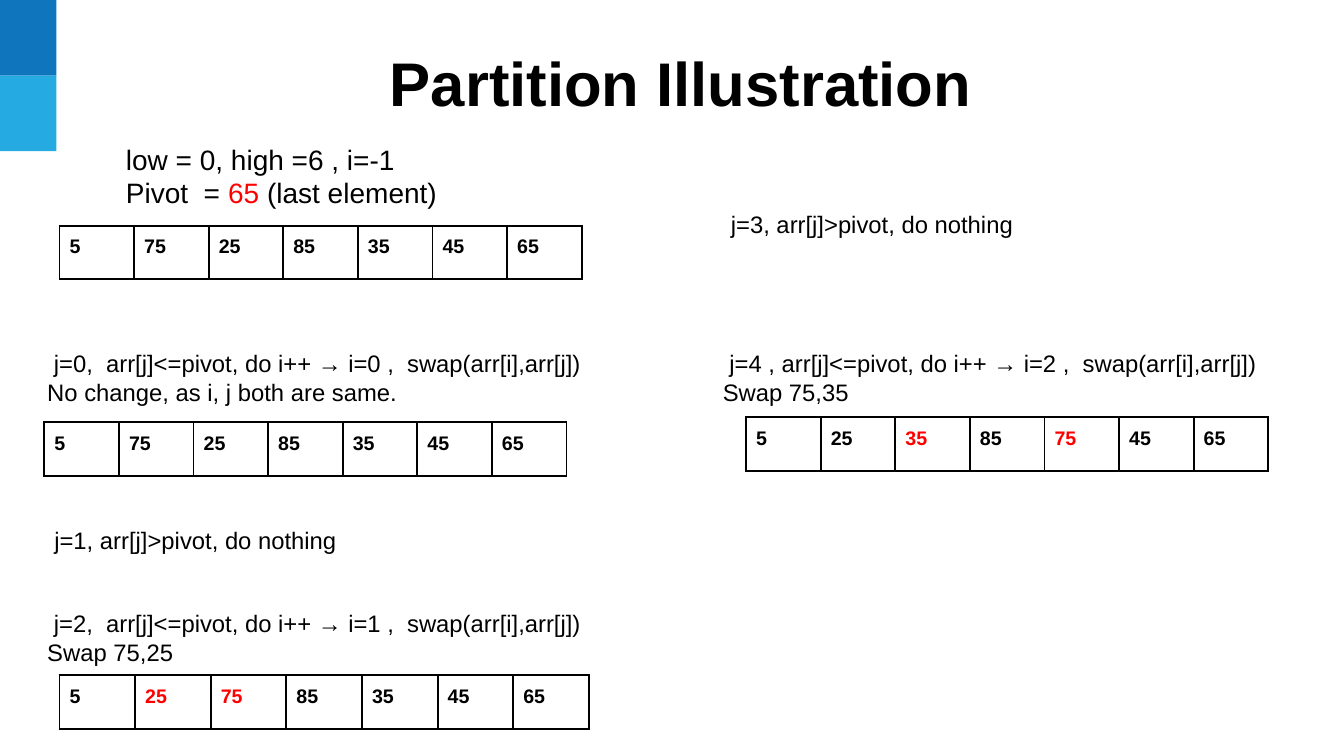
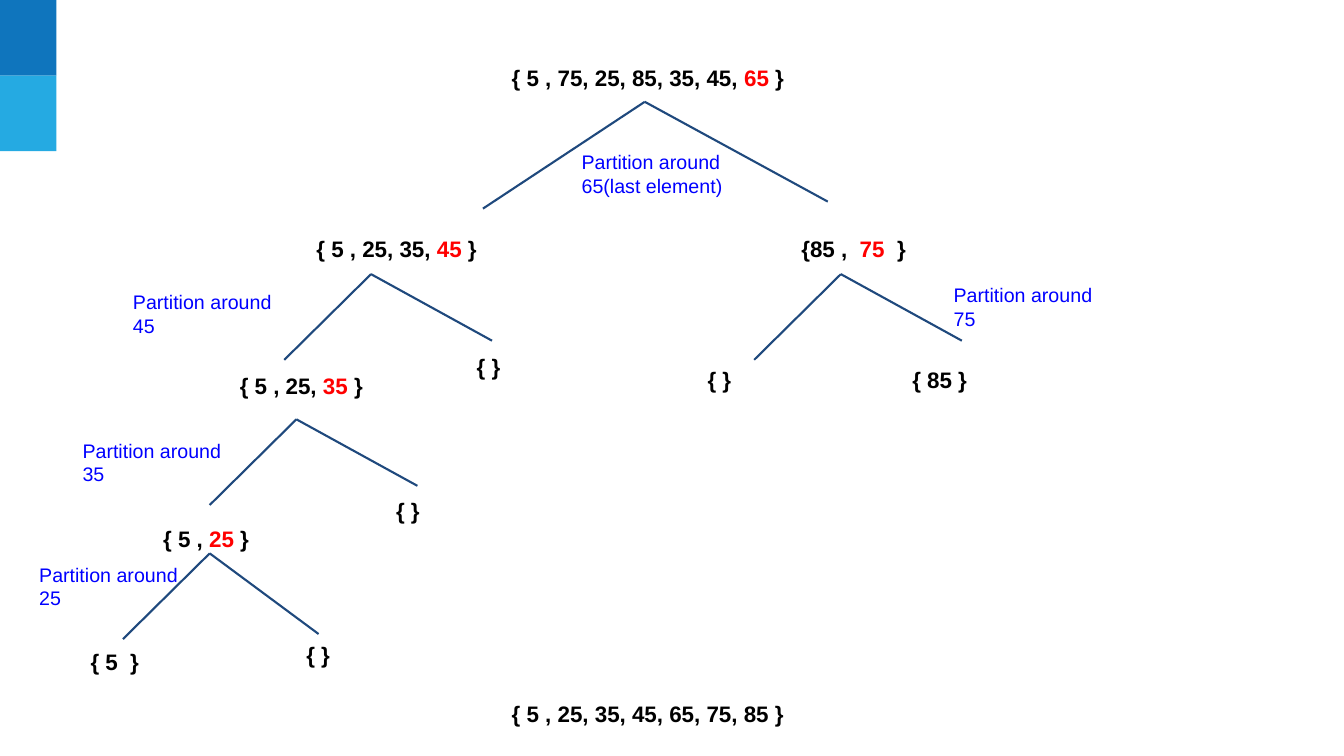
from dataclasses import dataclass

from lxml import etree
from pptx import Presentation
from pptx.dml.color import RGBColor
from pptx.enum import shapes, text
from pptx.oxml import ns
from pptx.util import Inches, Pt

# Shared look
FONT = "Arial"
BLACK, WHITE, RED = "000000", "FFFFFF", "FF0000"
NAVY, SKY, BLUE, EDGE = "0F75BD", "25AAE2", "0000FF", "1F497D"
PAD = 0.1
MID, TOP = text.MSO_ANCHOR.MIDDLE, text.MSO_ANCHOR.TOP


@dataclass
class Style:
    size: float
    color: str = BLACK
    bold: bool = False
    center: bool = False


@dataclass
class Box:
    left: float
    top: float
    width: float
    height: float
    lines: tuple = ()


@dataclass
class Row:
    left: float
    top: float
    vals: str
    col: float = 0.74


@dataclass
class Fork:
    x: float
    y: float
    left: tuple = (-0.86, 0.85)
    right: tuple = (1.2, 0.66)


TITLE = Style(44, bold=True, center=True)
INTRO, STEP = Style(20), Style(17)
CELL, NODE = Style(14, bold=True), Style(16, bold=True)
SPAN = Style(16, bold=True, center=True)
NOTE = Style(14, BLUE)


def rgb(code: str) -> RGBColor:
    return RGBColor.from_string(code)


def write(frame, lines: tuple, style: Style) -> None:
    """Fill a text frame; parts between bars are red."""
    for n, line in enumerate(lines):
        para = frame.add_paragraph() if n else frame.paragraphs[0]
        para.alignment = text.PP_ALIGN.CENTER if style.center else text.PP_ALIGN.LEFT
        para.font.name, para.font.size = FONT, Pt(style.size)
        para.font.bold = style.bold
        para.font.color.rgb = rgb(style.color)
        for k, part in enumerate(line.split("|")):
            if part:
                run = para.add_run()
                run.text = part
                run.font.color.rgb = rgb(RED if k % 2 else style.color)


def fit(frame, anchor, pad: float = PAD) -> None:
    frame.word_wrap = True
    frame.vertical_anchor = anchor
    frame.margin_left = frame.margin_right = Inches(PAD)
    frame.margin_top = frame.margin_bottom = Inches(pad)


def label(slide, box: Box, style: Style, anchor=TOP, pad: float = PAD):
    shape = slide.shapes.add_textbox(
        Inches(box.left), Inches(box.top), Inches(box.width), Inches(box.height))
    fit(shape.text_frame, anchor, pad)
    write(shape.text_frame, box.lines, style)
    return shape


def plate(slide, box: Box, fill: str, style: Style = STEP) -> None:
    shape = slide.shapes.add_shape(
        shapes.MSO_SHAPE.RECTANGLE, Inches(box.left), Inches(box.top),
        Inches(box.width), Inches(box.height))
    shape.shadow.inherit = False
    shape.fill.solid()
    shape.fill.fore_color.rgb = rgb(fill)
    shape.line.fill.background()
    if box.lines:
        fit(shape.text_frame, MID)
        write(shape.text_frame, box.lines, style)


def border(cell) -> None:
    props = cell._tc.get_or_add_tcPr()
    for n, side in enumerate(("lnL", "lnR", "lnT", "lnB")):
        line = etree.Element(ns.qn("a:" + side), w=str(Pt(1.5)))
        fill = etree.SubElement(line, ns.qn("a:solidFill"))
        etree.SubElement(fill, ns.qn("a:srgbClr"), val=BLACK)
        props.insert(n, line)


def array(slide, row: Row) -> None:
    vals = row.vals.split()
    table = slide.shapes.add_table(
        1, len(vals), Inches(row.left), Inches(row.top),
        Inches(row.col * len(vals)), Inches(0.53)).table
    table.first_row = table.horz_banding = False
    for n, val in enumerate(vals):
        table.columns[n].width = Inches(row.col)
        cell = table.cell(0, n)
        cell.fill.solid()
        cell.fill.fore_color.rgb = rgb(WHITE)
        cell.margin_left = cell.margin_right = Inches(PAD)
        cell.margin_top = cell.margin_bottom = Inches(PAD)
        write(cell.text_frame, (val,), CELL)
        border(cell)


def branch(slide, fork: Fork, root=None) -> None:
    for dx, dy in (fork.left, fork.right):
        line = slide.shapes.add_connector(
            shapes.MSO_CONNECTOR.STRAIGHT, Inches(fork.x), Inches(fork.y),
            Inches(fork.x + dx), Inches(fork.y + dy))
        line.line.color.rgb = rgb(EDGE)
        line.line.width = Pt(1.5)
        etree.SubElement(line._element.spPr, ns.qn("a:effectLst"))
        if root is not None:
            line.begin_connect(root, 2)


def page(deck):
    """Blank slide with the two corner blocks."""
    slide = deck.slides.add_slide(deck.slide_layouts[6])
    for n, color in enumerate((NAVY, SKY)):
        plate(slide, Box(0, 0.75 * n, 0.56, 0.75), color)
    return slide


# Slide 1: the partition steps
ROWS = (
    Row(0.59, 2.24, "5 75 25 85 35 45 65"),
    Row(0.44, 4.19, "5 75 25 85 35 45 65"),
    Row(7.4, 4.14, "5 25 |35| 85 |75| 45 65"),
    Row(0.59, 6.7, "5 |25| |75| 85 35 45 65", 0.75),
)
STEPS = (
    Box(0.37, 3.42, 5.95, 0.65, (
        " j=0,  arr[j]<=pivot, do i++ → i=0 ,  swap(arr[i],arr[j])",
        "No change, as i, j both are same.")),
    Box(0.44, 5.09, 5.81, 0.53, ("j=1, arr[j]>pivot, do nothing",)),
    Box(0.37, 6, 5.95, 0.65, (
        " j=2,  arr[j]<=pivot, do i++ → i=1 ,  swap(arr[i],arr[j])",
        "Swap 75,25")),
    Box(7.15, 1.96, 5.81, 0.53, ("j=3, arr[j]>pivot, do nothing",)),
    Box(7.07, 3.42, 5.95, 0.65, (
        " j=4 , arr[j]<=pivot, do i++ → i=2 ,  swap(arr[i],arr[j])",
        "Swap 75,35")),
)


def steps(deck) -> None:
    slide = page(deck)
    label(slide, Box(2.38, 0.36, 8.75, 0.9, ("Partition Illustration",)),
          TITLE, MID, 0.05)
    plate(slide, Box(1.15, 1.42, 3.58, 0.65, (
        "low = 0, high =6 , i=-1", "Pivot  = |65| (last element)")), WHITE, INTRO)
    for row in ROWS:
        array(slide, row)
    for step in STEPS:
        plate(slide, step, WHITE)


# Slide 2: the recursion tree
ROOT = Fork(6.4, 1.01, (-1.61, 1.06), (1.81, 0.99))
FORKS = (
    Fork(3.68, 2.72),
    Fork(8.34, 2.72),
    Fork(2.94, 4.16),
    Fork(2.08, 5.49, right=(1.08, 0.8)),
)
NODES = (
    (3.04, 2.23, "{ 5 , 25, 35, |45| }"),
    (7.85, 2.23, "{85 , | 75 | }"),
    (2.28, 3.59, "{ 5 , 25, |35| }"),
    (4.63, 3.4, "{ }"),
    (6.92, 3.53, "{ }"),
    (8.95, 3.53, "{ 85 }"),
    (1.52, 5.11, "{ 5 , |25| }"),
    (3.83, 4.83, "{ }"),
    (0.8, 6.33, "{ 5  }"),
    (2.94, 6.26, "{ }"),
)
NOTES = (
    (5.67, 1.39, "65(last element)"),
    (1.22, 2.78, "45"),
    (9.36, 2.71, "75"),
    (0.72, 4.25, "35"),
    (0.29, 5.48, "25"),
)


def tree(deck) -> None:
    slide = page(deck)
    root = label(slide, Box(2.18, 0.54, 8.43, 0.47, (
        " { 5 , 75, 25, 85, 35, 45, |65| }",)), SPAN)
    branch(slide, ROOT, root)
    for fork in FORKS:
        branch(slide, fork)
    for left, top, words in NODES:
        label(slide, Box(left, top, 2.2, 0.47, (words,)), NODE)
    for left, top, words in NOTES:
        label(slide, Box(left, top, 1.71, 0.67, ("Partition around", words)), NOTE)
    label(slide, Box(2.18, 6.85, 8.43, 0.47, (
        " { 5 , 25, 35, 45, 65, 75, 85 }",)), SPAN)


def main() -> None:
    deck = Presentation()
    deck.slide_width, deck.slide_height = Inches(13.33), Inches(7.5)
    steps(deck)
    tree(deck)
    deck.save("out.pptx")


if __name__ == "__main__":
    main()
